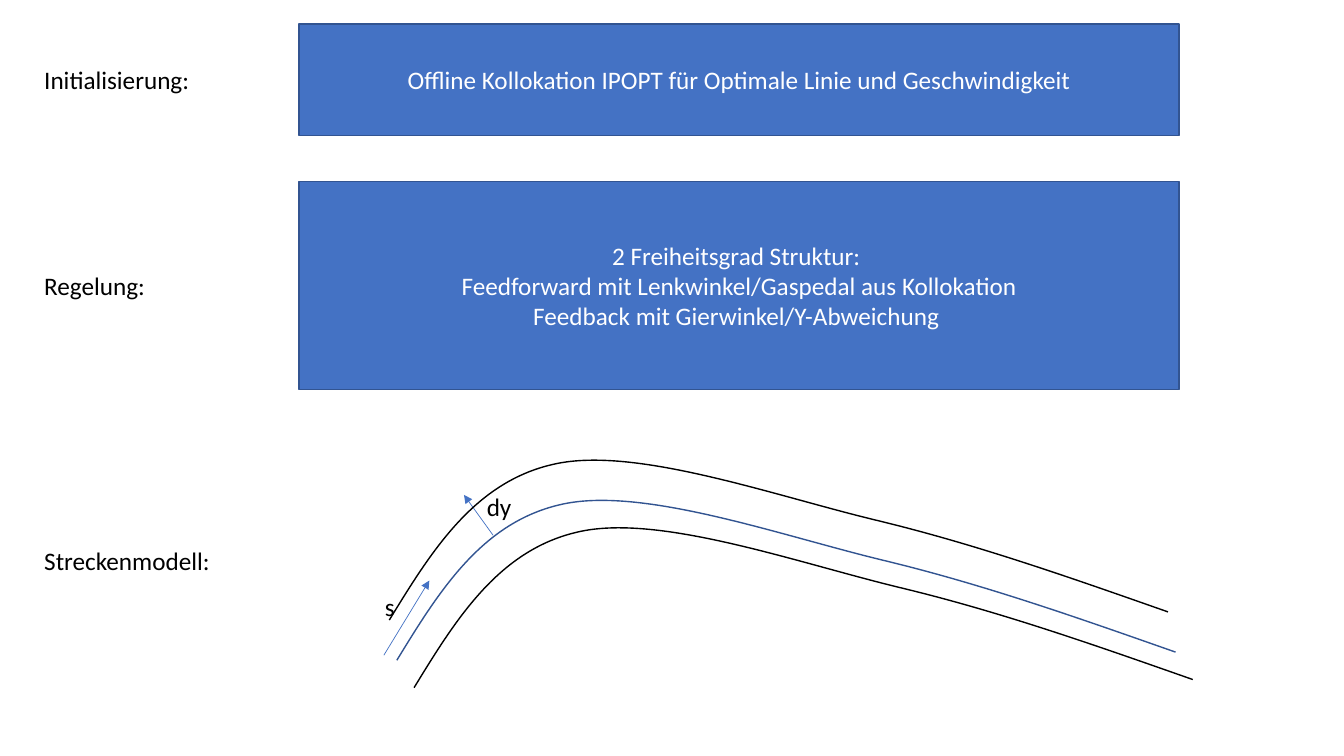
"""Build the slide on initialisation, control and track model."""
import pptx
import pptx.dml.color
import pptx.enum.shapes
import pptx.enum.text
import pptx.oxml.ns
import pptx.util
from lxml import etree

Pt = pptx.util.Pt
RGBColor = pptx.dml.color.RGBColor
qn = pptx.oxml.ns.qn
BLUE = RGBColor(0x44, 0x72, 0xC4)
DARK_BLUE = RGBColor(0x32, 0x54, 0x91)
BLACK = RGBColor(0, 0, 0)
WHITE = RGBColor(255, 255, 255)
FONT = "Calibri"
TEXT_HEIGHT = 29.08
LABEL_LEFT, LABEL_WIDTH = 24.5, 180.7
BOX_LEFT, BOX_WIDTH = 213.7, 628.6

PARTS = [
    ("label", "Initialisierung:", 42.6),
    ("box", 17.2, 79.4,
     ["Offline Kollokation IPOPT für Optimale Linie und Geschwindigkeit"]),
    ("label", "Regelung:", 189.4),
    ("box", 129.5, 149,
     ["2 Freiheitsgrad Struktur: ",
      "Feedforward mit Lenkwinkel/Gaspedal aus Kollokation",
      "Feedback mit Gierwinkel/Y-Abweichung "]),
    ("track", 283.5, 357.9, DARK_BLUE),
    ("arrow", (274.2, 468), (306.7, 414.7)),
    ("symbol", "s", 267.8, 418.7, 21.6),
    ("arrow", (352.2, 382.3), (331.4, 353.5)),
    ("symbol", "dy", 340.6, 347.2, 32.4),
    ("track", 295.8, 377.5, BLACK),
    ("track", 278.1, 329.2, BLACK),
    ("label", "Streckenmodell:", 385.9),
]
TRACK_WIDTH, TRACK_HEIGHT = 556.2, 113.7
TRACK_START = (0, 113.7)
TRACK_CURVES = [
    [(30.4, 64), (61.2, 14.3), (118.8, 2.1)],
    [(175.8, -10.1), (271.5, 23.7), (344.9, 41.7)],
    [(417.6, 59), (486.7, 83.5), (556.2, 107.9)],
]


def add_run(p, text, color):
    r = p.add_run()
    r.text = text
    r.font.name, r.font.size = FONT, Pt(18)
    r.font.color.rgb = color


def add_symbol(s, text, x, y, width, wrap=False):
    sp = s.shapes.add_textbox(Pt(x), Pt(y), Pt(width), Pt(TEXT_HEIGHT))
    tf = sp.text_frame
    tf.word_wrap = wrap
    tf.auto_size = pptx.enum.text.MSO_AUTO_SIZE.SHAPE_TO_FIT_TEXT
    add_run(tf.paragraphs[0], text, BLACK)


def add_label(s, text, y):
    add_symbol(s, text, LABEL_LEFT, y, LABEL_WIDTH, True)


def add_box(s, y, height, lines):
    sp = s.shapes.add_shape(pptx.enum.shapes.MSO_SHAPE.RECTANGLE,
                            Pt(BOX_LEFT), Pt(y), Pt(BOX_WIDTH), Pt(height))
    sp.shadow.inherit = False
    sp.fill.solid()
    sp.fill.fore_color.rgb = BLUE
    sp.line.color.rgb, sp.line.width = DARK_BLUE, Pt(1)
    tf = sp.text_frame
    tf.word_wrap = True
    tf.vertical_anchor = pptx.enum.text.MSO_ANCHOR.MIDDLE
    for i, line in enumerate(lines):
        p = tf.add_paragraph() if i else tf.paragraphs[0]
        p.alignment = pptx.enum.text.PP_ALIGN.CENTER
        add_run(p, line, WHITE)


def add_step(outline, tag, points):
    step = etree.SubElement(outline, qn(tag))
    for x, y in points:
        etree.SubElement(step, qn("a:pt"), x=str(Pt(x)), y=str(Pt(y)))


def add_track(s, x, y, color):
    builder = s.shapes.build_freeform(Pt(x), Pt(y))
    builder.add_line_segments([(Pt(x + TRACK_WIDTH), Pt(y + TRACK_HEIGHT))], close=False)
    sp = builder.convert_to_shape()
    outline = next(sp._element.iter(qn("a:path")))
    for step in list(outline):
        outline.remove(step)
    add_step(outline, "a:moveTo", [TRACK_START])
    for curve in TRACK_CURVES:
        add_step(outline, "a:cubicBezTo", curve)
    sp.shadow.inherit = False
    sp.fill.background()
    sp.line.color.rgb, sp.line.width = color, Pt(1)


def add_arrow(s, start, end):
    sp = s.shapes.add_connector(pptx.enum.shapes.MSO_CONNECTOR.STRAIGHT,
                                *[Pt(v) for v in start + end])
    sp.line.color.rgb, sp.line.width = BLUE, Pt(0.5)
    sp_pr = sp._element.spPr
    etree.SubElement(sp_pr.find(qn("a:ln")), qn("a:tailEnd"), type="triangle")
    etree.SubElement(sp_pr, qn("a:effectLst"))


def main():
    adders = {"label": add_label, "symbol": add_symbol, "box": add_box,
              "track": add_track, "arrow": add_arrow}
    prs = pptx.Presentation()
    prs.slide_width, prs.slide_height = Pt(960), Pt(540)
    s = prs.slides.add_slide(prs.slide_layouts[6])
    for kind, *details in PARTS:
        adders[kind](s, *details)
    prs.save("out.pptx")


if __name__ == "__main__":
    main()
